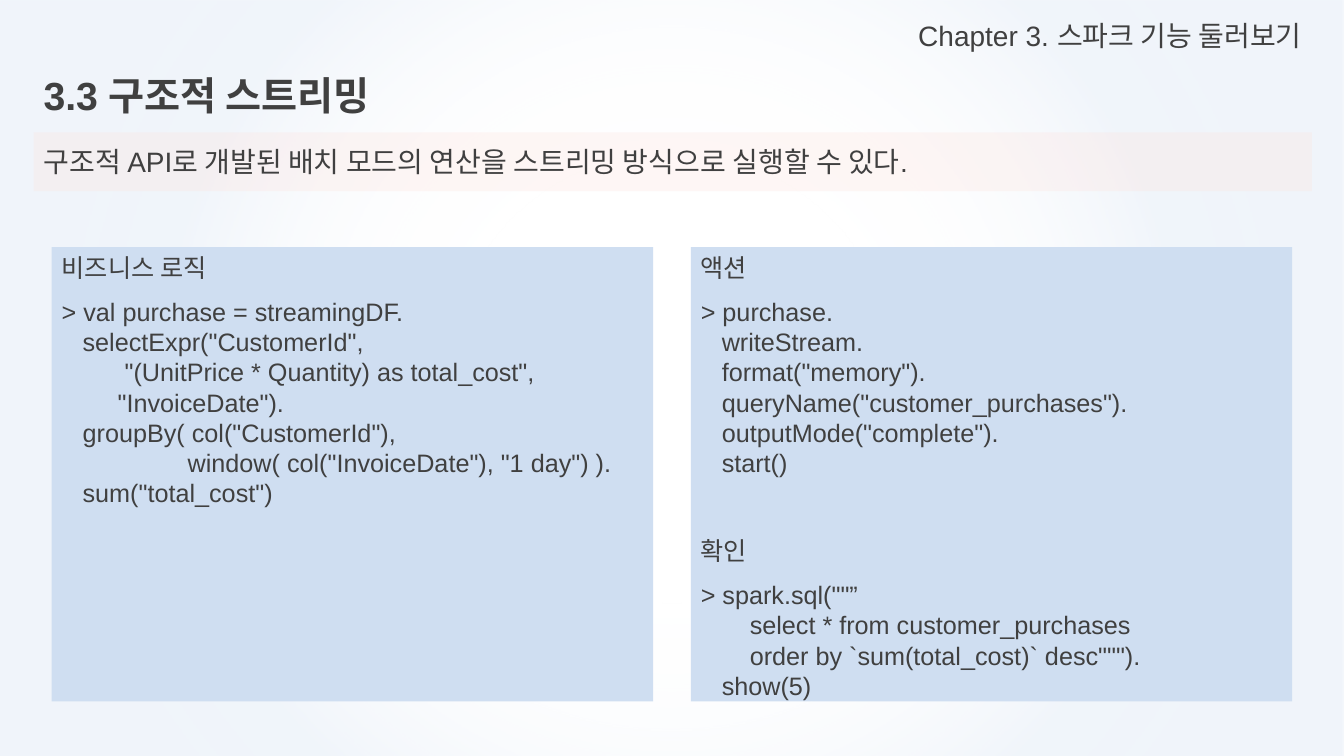
"""Build the structured streaming slide with its two code panels."""
from lxml import etree
from pptx import Presentation
from pptx.dml.color import RGBColor
from pptx.enum.shapes import MSO_SHAPE
from pptx.enum.text import MSO_ANCHOR, PP_ALIGN
from pptx.oxml import parse_xml
from pptx.oxml.ns import nsdecls, qn
from pptx.util import Pt

COLORS = {
    "text": "404040",
    "white": "FFFFFF",
    "glow": "F9FBFD",
    "edge": "87ADDB",
    "banner": "FDE4DF",
    "panel": "CFDEF1",
}
SPACE_WIDTH = 5


def add_block(page, left, top, width, height, color=None, alpha=100):
    """Add a plain rectangle, filled when a colour is given."""
    box = page.shapes.add_shape(
        MSO_SHAPE.RECTANGLE, Pt(left), Pt(top), Pt(width), Pt(height))
    box.shadow.inherit = False
    box.line.fill.background()
    box.fill.background()
    if color:
        box.fill.solid()
        box.fill.fore_color.rgb = RGBColor.from_string(COLORS[color])
        if alpha < 100:
            tint = box.fill._xPr.find(qn("a:solidFill"))[0]
            etree.SubElement(tint, qn("a:alpha")).set("val", str(alpha * 1000))
    box.text_frame.word_wrap = True
    return box


def write(box, text, size=18, bold=False, align=PP_ALIGN.LEFT,
          anchor=MSO_ANCHOR.TOP, before=10, indent=0):
    """Append one formatted paragraph to a box."""
    frame = box.text_frame
    frame.vertical_anchor = anchor
    para = frame.add_paragraph() if frame.text else frame.paragraphs[0]
    para.alignment = align
    para.space_before = Pt(before)
    para._p.get_or_add_pPr().set("marL", str(Pt(indent)))
    span = para.add_run()
    span.text = text
    span.font.name = "Arial"
    span.font.size = Pt(size)
    span.font.bold = bold
    span.font.color.rgb = RGBColor.from_string(COLORS["text"])


deck = Presentation()
deck.slide_width, deck.slide_height = Pt(960), Pt(540)
page = deck.slides.add_slide(deck.slide_layouts[6])

backdrop = add_block(page, 0, 0, 960, 540)
stops = "".join(
    f'<a:gs pos="{position * 1000}"><a:srgbClr val="{COLORS[color]}">'
    f'<a:alpha val="{alpha * 1000}"/></a:srgbClr></a:gs>'
    for position, color, alpha in [(29, "glow", 0), (66, "edge", 58), (80, "edge", 61)])
gradient = parse_xml(
    f'<a:gradFill {nsdecls("a")} rotWithShape="1"><a:gsLst>{stops}</a:gsLst>'
    '<a:path path="circle"><a:fillToRect l="50000" t="50000" r="50000" b="50000"/>'
    '</a:path></a:gradFill>')
properties = backdrop._element.spPr
properties.replace(properties.find(qn("a:noFill")), gradient)
add_block(page, 0, 0, 960, 540, "white", 80)

chapter = add_block(page, 24, 10, 913, 31)
write(chapter, "Chapter 3. 스파크 기능 둘러보기", size=20,
      align=PP_ALIGN.RIGHT, anchor=MSO_ANCHOR.MIDDLE)
title = add_block(page, 24, 47.5, 913, 41)
write(title, "3.3 구조적 스트리밍", size=28, bold=True, anchor=MSO_ANCHOR.MIDDLE)
banner = add_block(page, 24, 94.5, 913, 42, "banner", 30)
write(banner, "구조적 API로 개발된 배치 모드의 연산을 스트리밍 방식으로 실행할 수 있다.",
      size=20, anchor=MSO_ANCHOR.MIDDLE)

logic = ("비즈니스 로직", [
    (0, "> val purchase = streamingDF."),
    (3, 'selectExpr("CustomerId",'),
    (9, '"(UnitPrice * Quantity) as total_cost",'),
    (8, '"InvoiceDate").'),
    (3, 'groupBy( col("CustomerId"),'),
    (18, 'window( col("InvoiceDate"), "1 day") ).'),
    (3, 'sum("total_cost")'),
])
action = ("액션", [
    (0, "> purchase."),
    (3, "writeStream."),
    (3, 'format("memory").'),
    (3, 'queryName("customer_purchases").'),
    (3, 'outputMode("complete").'),
    (3, "start()"),
])
check = ("확인", [
    (0, '> spark.sql(""”'),
    (7, "select * from customer_purchases"),
    (7, 'order by `sum(total_cost)` desc""").'),
    (3, "show(5)"),
])

for left, sections in [(37, [logic]), (493.5, [action, check])]:
    panel = add_block(page, left, 176.5, 429.5, 324.5, "panel")
    for number, (heading, code) in enumerate(sections):
        write(panel, heading, before=41 if number else 10)
        for row, (spaces, line) in enumerate(code):
            write(panel, line, before=0 if row else 10, indent=spaces * SPACE_WIDTH)

deck.save("out.pptx")
